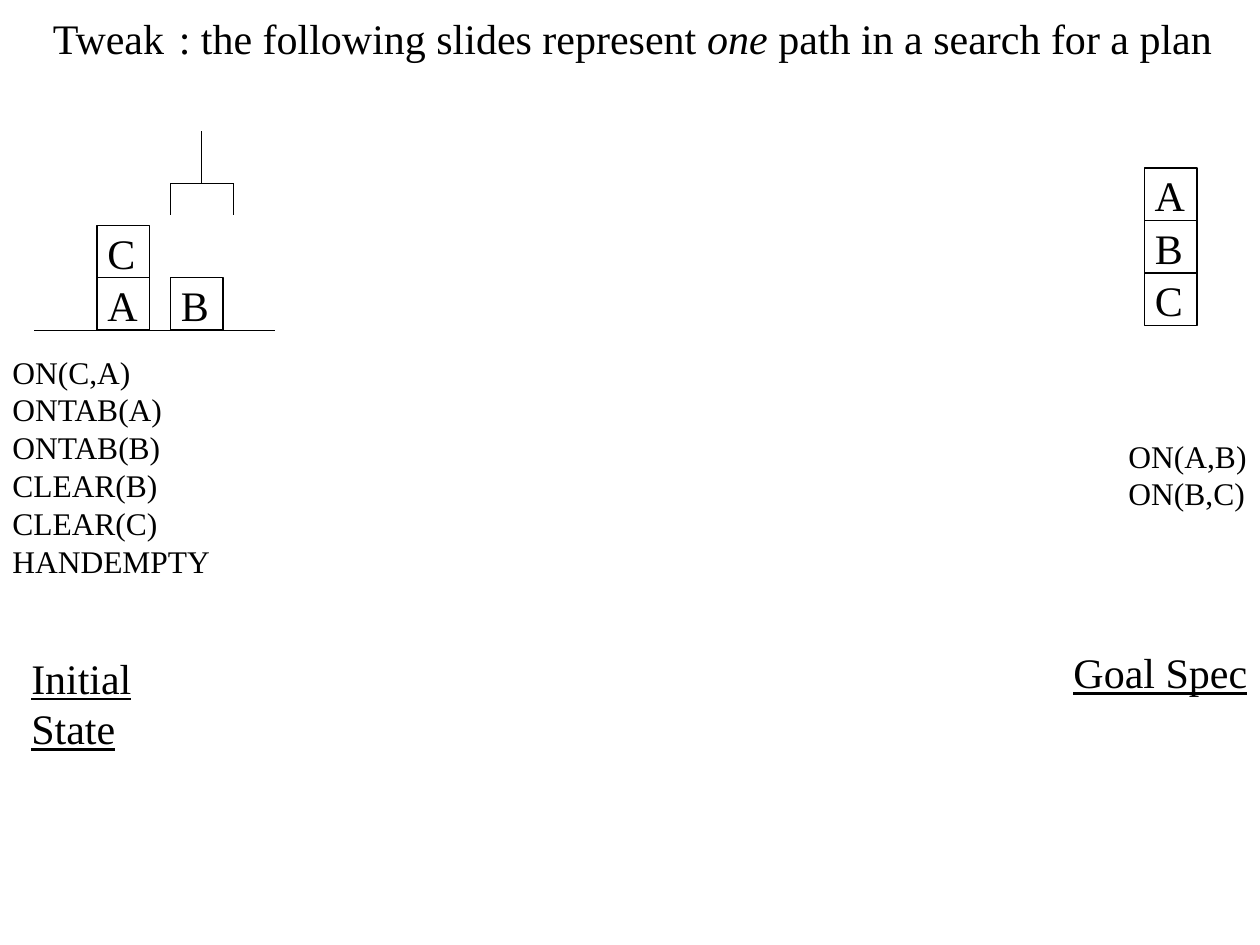
from lxml import etree
from pptx import Presentation
from pptx.dml.color import RGBColor
from pptx.enum.shapes import MSO_CONNECTOR, MSO_SHAPE
from pptx.enum.text import MSO_AUTO_SIZE
from pptx.oxml.ns import qn
from pptx.util import Inches, Pt

STRAIGHT = MSO_CONNECTOR.STRAIGHT
RECTANGLE = MSO_SHAPE.RECTANGLE
FIT_SHAPE = MSO_AUTO_SIZE.SHAPE_TO_FIT_TEXT
BLACK = RGBColor(0, 0, 0)

prs = Presentation()
prs.slide_width, prs.slide_height = Inches(10), Inches(7.5)
slide = prs.slides.add_slide(prs.slide_layouts[6])
CELL = prs.slide_width / 24


def grid(*cells):
    return [round(CELL * n) for n in cells]


def write(area, lines, size=24, **format_values):
    frame = slide.shapes.add_textbox(*grid(*area)).text_frame
    frame.word_wrap = False
    frame.auto_size = FIT_SHAPE
    for i, runs in enumerate(lines):
        paragraph = frame.paragraphs[0] if i == 0 else frame.add_paragraph()
        for words, italic in runs:
            run = paragraph.add_run()
            run.text = words
            run.font.color.rgb = BLACK
            values = {"name": "Times New Roman", "size": Pt(size), "italic": italic}
            for key, value in {**values, **format_values}.items():
                setattr(run.font, key, value)


blocks = [
    ("C", 1.85, 4.29), ("A", 1.85, 5.29), ("B", 3.25, 5.29),
    ("A", 21.8, 3.2), ("B", 21.8, 4.2), ("C", 21.8, 5.2),
]
for letter, column, row in blocks:
    block = slide.shapes.add_shape(RECTANGLE, *grid(column, row, 1, 1))
    block.shadow.inherit = False
    block.fill.background()
    block.line.color.rgb = BLACK
    block.line.width = Pt(0.75)
    letter_width = 1.06 if letter == "A" else 1.01
    write((column - 0.04, row - 0.08, letter_width, 1.2), [[(letter, False)]])

table_top = [(0.65, 6.29, 5.23, 6.29)]
hand = [
    (3.84, 2.5, 3.84, 3.49),
    (3.25, 3.49, 4.45, 3.49),
    (3.25, 3.49, 3.25, 4.09),
    (4.45, 3.49, 4.45, 4.09),
]
for ends in table_top + hand:
    stroke = slide.shapes.add_connector(STRAIGHT, *grid(*ends))
    stroke.line.color.rgb = BLACK
    stroke.line.width = Pt(0.75)
    etree.SubElement(stroke._element.spPr, qn("a:effectLst"))

initial_facts = ["ON(C,A)", "ONTAB(A)", "ONTAB(B)", "CLEAR(B)", "CLEAR(C)", "HANDEMPTY"]
goal_facts = ["ON(A,B)", "ON(B,C)"]
for area, facts in [
    ((0, 6.6, 4.25, 4.56), initial_facts),
    ((21.26, 8.2, 2.74, 1.68), goal_facts),
]:
    write(area, [[(fact, False)] for fact in facts], size=18)

for area, caption in [
    ((0.36, 12.31, 4.18, 1.2), "Initial State"),
    ((20.21, 12.2, 3.79, 1.2), "Goal Spec"),
]:
    write(area, [[(caption, False)]], underline=True)

write((0.77, 0.12, 2.64, 1.2), [[("Tweak", False)]])
write((3.17, 0.12, 20.16, 1.2), [[
    (": the following slides represent ", False),
    ("one ", True),
    ("path in a search for a plan", False),
]])

prs.save("out.pptx")
